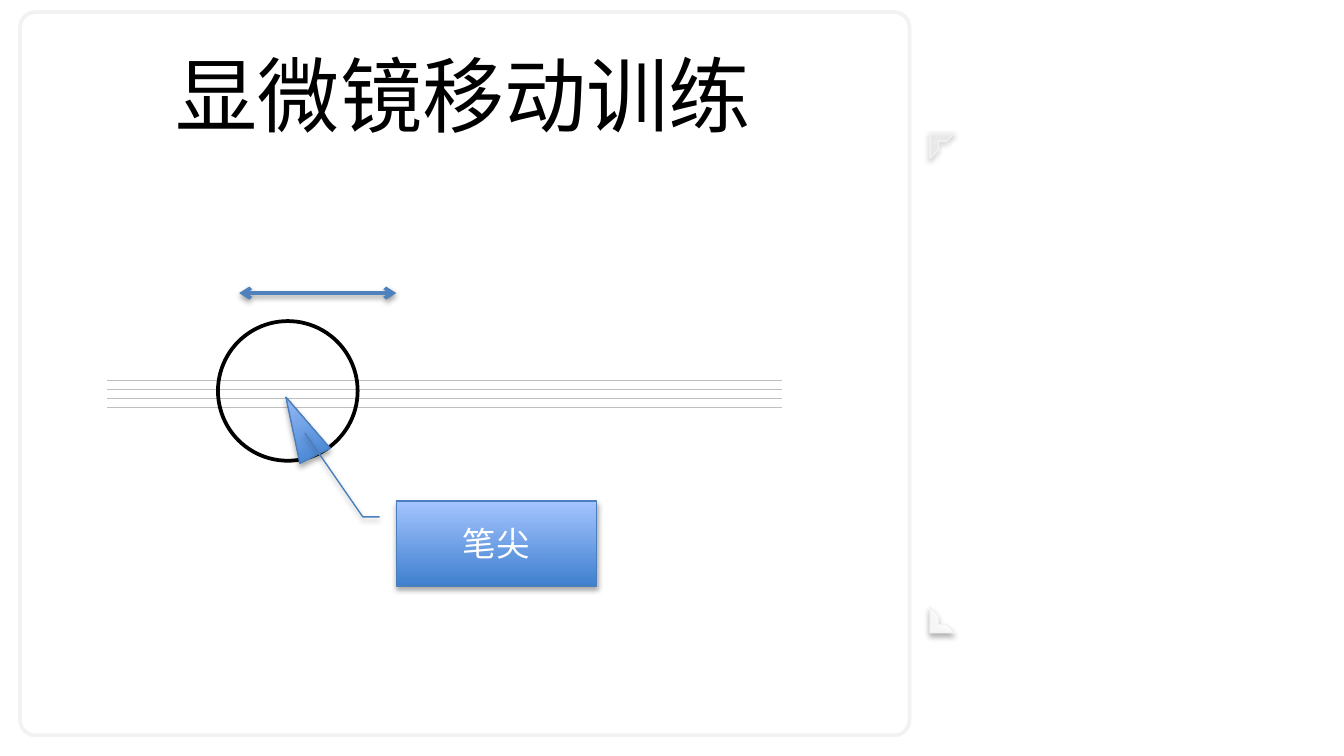
from dataclasses import dataclass
from lxml.etree import SubElement
from pptx import Presentation
from pptx.dml.color import RGBColor
from pptx.enum.shapes import MSO_CONNECTOR, MSO_SHAPE
from pptx.enum.text import MSO_ANCHOR, PP_ALIGN
from pptx.oxml.ns import qn
from pptx.util import Cm, Pt


@dataclass(frozen=True)
class Theme:
    """Colours, font and type sizes of the slide."""
    white: RGBColor = RGBColor(0xFF, 0xFF, 0xFF)
    black: RGBColor = RGBColor(0, 0, 0)
    frame: RGBColor = RGBColor(0xF2, 0xF2, 0xF2)
    rule: RGBColor = RGBColor(0xBF, 0xBF, 0xBF)
    arrow: RGBColor = RGBColor(0x4F, 0x81, 0xBD)
    edge: RGBColor = RGBColor(0x4B, 0x7E, 0xBC)
    deep: RGBColor = RGBColor(0x3F, 0x80, 0xCE)
    light: RGBColor = RGBColor(0xA4, 0xC4, 0xFF)
    font: str = "Calibri"
    title: Pt = Pt(44)
    label: Pt = Pt(18)


T = Theme()


def set_shadow(sp, alpha=0, dist=1.8):
    """Give a finished shape a soft shadow below it, or none if alpha is 0."""
    spPr = sp._element.spPr
    for old in spPr.findall(qn("a:effectLst")):
        spPr.remove(old)
    effects = SubElement(spPr, qn("a:effectLst"))
    if alpha:
        shadow = SubElement(effects, qn("a:outerShdw"), blurRad=str(Pt(3.1)),
                            dist=str(Pt(dist)), dir="5400000", rotWithShape="0")
        clr = SubElement(shadow, qn("a:srgbClr"), val=str(T.black))
        SubElement(clr, qn("a:alpha"), val=str(alpha * 1000))


def add_shape(kind, box, line, width, fill=None, shadow=0):
    """Add a preset shape; fill is a colour, "gradient" or None."""
    sp = s.shapes.add_shape(kind, *map(Cm, box))
    if fill is None:
        sp.fill.background()
    elif fill == "gradient":
        sp.fill.gradient()
        sp.fill.gradient_angle = 90
        for stop, color, pos in zip(sp.fill.gradient_stops, (T.deep, T.light), (0, 1)):
            stop.color.rgb = color
            stop.position = pos
    else:
        sp.fill.solid()
        sp.fill.fore_color.rgb = fill
    sp.line.color.rgb = line
    sp.line.width = Pt(width)
    set_shadow(sp, shadow)
    return sp


prs = Presentation()
prs.slide_width, prs.slide_height = Cm(25.4), Cm(14.29)
s = prs.slides.add_slide(prs.slide_layouts[5])

# Page frame and corner marks
page = add_shape(MSO_SHAPE.ROUNDED_RECTANGLE, (0.38, 0.23, 16.81, 13.67),
                 T.frame, 2, T.white)
page.adjustments[0] = 0.021
for top, opacity, flip in ((11.48, 88, "1"), (2.51, 23, "0")):
    corner = add_shape(MSO_SHAPE.HALF_FRAME, (17.58, top, 0.46, 0.48),
                       T.frame, 0.75, T.white, shadow=35)
    corner._element.spPr.find(qn("a:xfrm")).set("flipV", flip)
    clr = corner._element.spPr.find(qn("a:solidFill"))[0]
    SubElement(clr, qn("a:alpha"), val=str(opacity * 1000))

# Title, in front of the page frame
title = s.shapes.title
s.shapes._spTree.append(title._element)
title.left, title.top, title.width, title.height = map(Cm, (0.81, 0.58, 15.9, 2.39))
tf = title.text_frame
tf.text = "显微镜移动训练"
tf.vertical_anchor = MSO_ANCHOR.MIDDLE
p = tf.paragraphs[0]
p.alignment = PP_ALIGN.CENTER
p.font.name, p.font.size, p.font.color.rgb = T.font, T.title, T.black

# Four ruled lines
rules = s.shapes.add_group_shape()
for i in range(4):
    y = Cm(7.19 + 0.17 * i)
    rule = rules.shapes.add_connector(MSO_CONNECTOR.STRAIGHT, Cm(2.03), y, Cm(14.78), y)
    rule.line.color.rgb = T.rule
    rule.line.width = Pt(0.75)
    set_shadow(rule)

# Field of view and pen tip
add_shape(MSO_SHAPE.OVAL, (4.12, 6.07, 2.64, 2.64), T.black, 2)
tip = add_shape(MSO_SHAPE.ISOSCELES_TRIANGLE, (5.36, 7.44, 0.64, 1.24),
                T.edge, 0.75, "gradient", shadow=35)
tip.rotation = 333.6

# Direction of movement
move = s.shapes.add_connector(MSO_CONNECTOR.STRAIGHT, Cm(4.52), Cm(5.54), Cm(7.49), Cm(5.54))
move.line.color.rgb = T.arrow
move.line.width = Pt(2)
for end in ("a:headEnd", "a:tailEnd"):
    SubElement(move.line._get_or_add_ln(), qn(end), type="arrow")
set_shadow(move, 38, 1.6)

# Pen tip label
label = add_shape(MSO_SHAPE.LINE_CALLOUT_2, (7.49, 9.47, 3.79, 1.61),
                  T.edge, 0.75, "gradient", shadow=35)
for i, value in enumerate((0.188, -0.083, 0.188, -0.167, -0.798, -0.456)):
    label.adjustments[i] = value
tf = label.text_frame
tf.text = "笔尖"
tf.vertical_anchor = MSO_ANCHOR.MIDDLE
p = tf.paragraphs[0]
p.alignment = PP_ALIGN.CENTER
p.font.name, p.font.size, p.font.color.rgb = T.font, T.label, T.white

prs.save("out.pptx")
